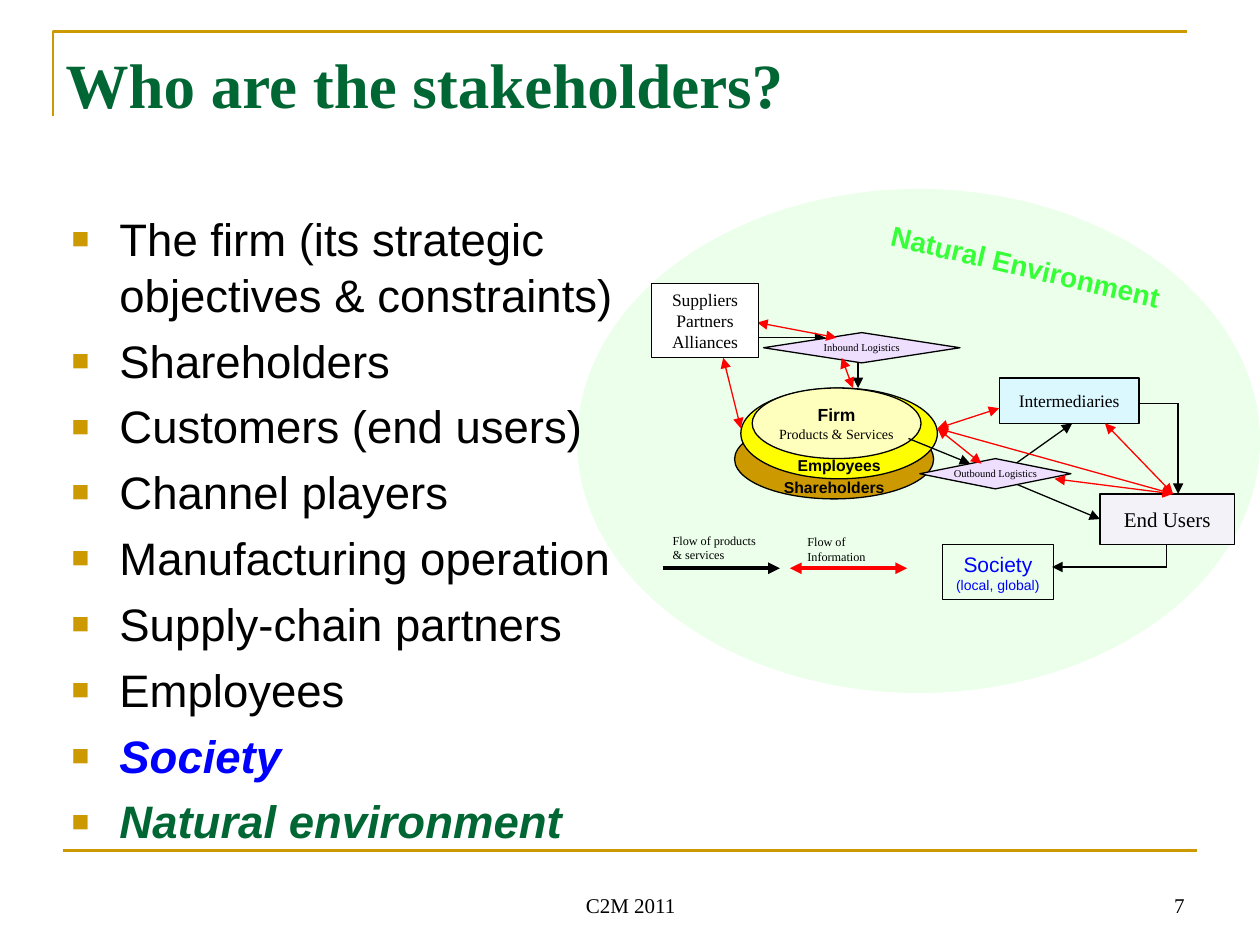
import pptx
import pptx.util
import pptx.dml.color
import pptx.enum.shapes
import pptx.enum.text
import pptx.oxml.ns
import lxml.etree

Pt = pptx.util.Pt
hue = pptx.dml.color.RGBColor.from_string
form = pptx.enum.shapes.MSO_SHAPE
side = pptx.enum.text.PP_ALIGN
hold = pptx.enum.text.MSO_ANCHOR
qn = pptx.oxml.ns.qn
sans, serif = "Arial", "Times New Roman"
gold, green = "CC9900", "006633"

deck = pptx.Presentation()
deck.slide_width = pptx.util.Inches(10)
deck.slide_height = pptx.util.Inches(7.5)
unit = deck.slide_width / 100
slide = deck.slides.add_slide(deck.slide_layouts[5])
shapes = slide.shapes


def box(kind, area, rows=(), fill=None, edge="000000", align=side.CENTER,
        anchor=hold.MIDDLE, wrap=False):
    place = [round(n * unit) for n in area]
    if kind is None:
        shape = shapes.add_textbox(*place)
    else:
        shape = shapes.add_shape(kind, *place)
        shape.shadow.inherit = False
        if fill:
            shape.fill.solid()
            shape.fill.fore_color.rgb = hue(fill)
        else:
            shape.fill.background()
        if edge:
            shape.line.color.rgb = hue(edge)
            shape.line.width = Pt(0.75)
        else:
            shape.line.fill.background()
    frame = shape.text_frame
    frame.word_wrap = wrap
    frame.vertical_anchor = anchor
    frame.text = "\n".join(row[0] for row in rows)
    for para, (text, size, face, ink, bold) in zip(frame.paragraphs, rows):
        para.alignment = align
        para.font.size = Pt(size)
        para.font.name = face
        para.font.color.rgb = hue(ink)
        para.font.bold = bold
    return shape


def line(ends, ink, width=0.75, tips=()):
    wire = shapes.add_connector(pptx.enum.shapes.MSO_CONNECTOR.STRAIGHT,
                                *[round(n * unit) for n in ends])
    wire.line.color.rgb = hue(ink)
    wire.line.width = Pt(width)
    for tip in tips:
        lxml.etree.SubElement(wire.line._get_or_add_ln(), qn("a:" + tip), type="triangle")
    lxml.etree.SubElement(wire._element.spPr, qn("a:effectLst"))


pen = shapes.build_freeform(round(4.2 * unit), round(9.2 * unit))
pen.add_line_segments([(round(x * unit), round(2.5 * unit)) for x in (4.2, 94.2)], close=False)
frame = pen.convert_to_shape()
frame.shadow.inherit = False
frame.fill.background()
frame.line.color.rgb = hue(gold)
frame.line.width = Pt(1.5)
line((5, 67.5, 95, 67.5), gold, 1.5)
box(None, (34.2, 68.3, 31.7, 5), [("C2M 2011", 12, serif, "000000", False)], anchor=hold.BOTTOM)
box(None, (71.7, 68.3, 23.3, 5), [("7", 12, serif, "000000", False)],
    align=side.RIGHT, anchor=hold.BOTTOM, wrap=True)

title = shapes.title
title.left, title.top, title.width, title.height = [round(n * unit) for n in (4.2, 2.5, 90, 8.3)]
title.text_frame.text = "Who are the stakeholders?"
title.text_frame.vertical_anchor = hold.MIDDLE
head = title.text_frame.paragraphs[0]
head.alignment = side.LEFT
head.font.size = Pt(36)
head.font.name = serif
head.font.bold = True
head.font.color.rgb = hue(green)

box(form.OVAL, (45.8, 15, 54.2, 40), fill="EBFFEB", edge=None)
box(form.OVAL, (58.3, 33.3, 15.8, 6.3), fill=gold)
sign = box(None, (66, 19.3, 30.8, 3.7), [("Natural Environment", 16, sans, "37FF37", True)])
sign.rotation = 13.3
box(form.OVAL, (58.8, 30.8, 15.6, 7.2), fill="FEFE00")
box(form.RECTANGLE, (79.3, 30, 11.1, 3.6),
    [("Intermediaries", 10, serif, "000000", False)], "DBF8FF")
box(form.RECTANGLE, (87.3, 39.2, 10.7, 4), [("End Users", 12, serif, "000000", False)], "F2F2F8")
box(form.OVAL, (59.7, 30.8, 13.4, 5.6),
    [("Firm", 10, sans, "000000", True),
     ("Products & Services", 8, serif, "000000", False)], "FFFFBD")

for ends in [(60.1, 26.8, 65.5, 26.8), (80.6, 36.8, 85.1, 33.6), (93.5, 32, 93.5, 39.2),
             (72.1, 34.8, 77, 36.8), (80.6, 38.4, 87.3, 41.2), (68.1, 28.8, 68.1, 30.8),
             (92.6, 45, 83.5, 45)]:
    line(ends, "000000", tips=["tailEnd"])
for ends in [(90.4, 32, 93.5, 32), (92.6, 43.2, 92.6, 45)]:
    line(ends, "000000")

for name, area in [("Outbound Logistics", (73, 36.4, 12, 2.4)),
                   ("Inbound Logistics", (60.6, 26.4, 15.6, 2.4))]:
    box(form.DIAMOND, area, [(name, 6, serif, "000000", False)], "EFDFFF")
for name, left, top in [("Employees", 60.6, 35.7), ("Shareholders", 60.2, 37.4)]:
    box(None, (left, top, 12, 2.5), [(name, 9, sans, "000000", True)])

for ends in [(57.4, 28.4, 58.8, 34), (60.1, 25.6, 66.4, 26.8), (66.8, 28.4, 67.7, 30.8),
             (83.7, 38, 93.1, 39.2), (87.7, 33.6, 93.1, 39.2), (74.4, 34, 93.1, 39.2),
             (74.4, 34, 79.3, 32.4), (74.4, 34, 77.9, 36.8)]:
    line(ends, "FF0000", tips=["headEnd", "tailEnd"])

line((52.6, 45.1, 61.9, 45.1), "000000", 2.25, ["tailEnd"])
line((62.7, 45.1, 72, 45.1), "FF0000", 2.25, ["headEnd", "tailEnd"])
for area, words in [((52.4, 41.8, 8.9, 3.3), ["Flow of products", "& services"]),
                    ((63.1, 41.9, 6.7, 3.3), ["Flow of", "Information"])]:
    box(None, area, [(word, 7, serif, "000000", False) for word in words],
        align=side.LEFT, anchor=hold.TOP)

box(form.RECTANGLE, (51.7, 22.5, 8.5, 5.9),
    [(word, 10, serif, "000000", False) for word in ("Suppliers", "Partners", "Alliances")],
    "FFFFFF")
box(form.RECTANGLE, (74.8, 43.2, 8.8, 4.4),
    [("Society", 12, sans, "0000FF", False), ("(local, global)", 8, sans, "0000FF", False)])

items = [(text, 26, sans, "000000", False) for text in (
    "The firm (its strategic objectives & constraints)", "Shareholders",
    "Customers (end users)", "Channel players", "Manufacturing operation",
    "Supply-chain partners", "Employees")]
items += [("Society", 26, sans, "0000FF", True), ("Natural environment", 26, sans, green, True)]
body = box(None, (4.7, 16.1, 48.3, 53.4), align=side.LEFT, anchor=hold.TOP, wrap=True)
body.text_frame.text = "\n".join(item[0] for item in items)
for spot, (para, item) in enumerate(zip(body.text_frame.paragraphs, items)):
    para.line_spacing = 1.03
    para.space_before = Pt(5.5 if spot else 0)
    prop = para._p.get_or_add_pPr()
    prop.set("marL", str(round(3.8 * unit)))
    prop.set("indent", str(round(-3.8 * unit)))
    tint = lxml.etree.SubElement(prop, qn("a:buClr"))
    lxml.etree.SubElement(tint, qn("a:srgbClr"), val=gold)
    lxml.etree.SubElement(prop, qn("a:buSzPct"), val="65000")
    lxml.etree.SubElement(prop, qn("a:buFont"), typeface=sans)
    lxml.etree.SubElement(prop, qn("a:buChar"), char="■")
    para.font.size = Pt(item[1])
    para.font.name = item[2]
    para.font.color.rgb = hue(item[3])
    para.font.bold = para.font.italic = item[4]

deck.save("out.pptx")
